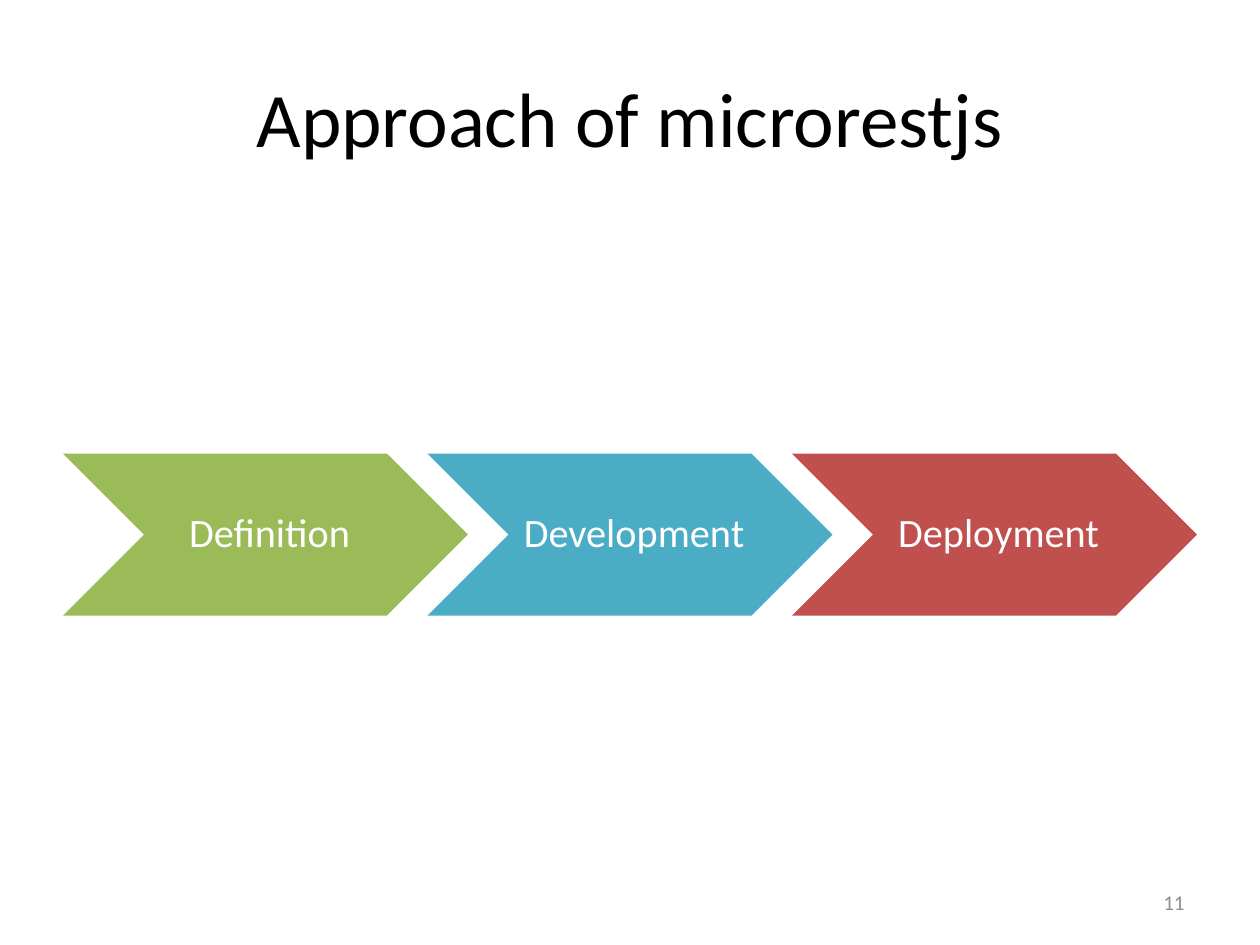
import pptx
import pptx.util
import pptx.dml.color
import pptx.enum.shapes
import pptx.enum.text
from dataclasses import dataclass

Inch = pptx.util.Inches
Align = pptx.enum.text.PP_ALIGN
Anchor = pptx.enum.text.MSO_ANCHOR
Shape = pptx.enum.shapes.MSO_SHAPE


@dataclass
class Theme:
    font: str = "Calibri"
    ink: str = "000000"
    pale: str = "FFFFFF"
    gray: str = "8C8C8C"
    green: str = "9BBB59"
    blue: str = "4BACC6"
    red: str = "C0504D"
    head: int = 44
    step: int = 23
    note: int = 12


def rgb(code):
    return pptx.dml.color.RGBColor.from_string(code)


class Deck:
    """Holds the style and the current slide; lengths are shares of the slide."""

    def __init__(self, theme):
        self.theme = theme
        self.show = pptx.Presentation()
        self.show.slide_width, self.show.slide_height = Inch(10), Inch(7.5)
        self.slide = self.show.slides.add_slide(self.show.slide_layouts[5])

    def box(self, x, y, w, h):
        wide, high = self.show.slide_width, self.show.slide_height
        return int(x * wide), int(y * high), int(w * wide), int(h * high)

    def label(self, shape, text, size, color, align, **extra):
        frame = shape.text_frame
        frame.text = text
        line = frame.paragraphs[0]
        looks = (
            (frame, {"word_wrap": True, "vertical_anchor": Anchor.MIDDLE}),
            (line, {"alignment": align, **extra}),
            (line.runs[0].font, {"name": self.theme.font, "size": pptx.util.Pt(size)}),
        )
        for part, values in looks:
            for name, value in values.items():
                setattr(part, name, value)
        line.runs[0].font.color.rgb = rgb(color)

    def title(self, text, *area):
        shape = self.slide.shapes.title
        shape.left, shape.top, shape.width, shape.height = self.box(*area)
        self.label(shape, text, self.theme.head, self.theme.ink, Align.CENTER)

    def step(self, text, color, *area):
        shape = self.slide.shapes.add_shape(Shape.CHEVRON, *self.box(*area))
        shape.shadow.inherit = False
        shape.fill.solid()
        shape.fill.fore_color.rgb = rgb(color)
        shape.line.fill.background()
        pads = {"left": 0.1, "right": 0.03, "top": 0.03, "bottom": 0.03}
        for side, pad in pads.items():
            setattr(shape.text_frame, "margin_" + side, Inch(pad))
        self.label(shape, text, self.theme.step, self.theme.pale, Align.CENTER,
                   line_spacing=0.9)

    def number(self, text, *area):
        shape = self.slide.shapes.add_textbox(*self.box(*area))
        self.label(shape, text, self.theme.note, self.theme.gray, Align.RIGHT)


def main():
    theme = Theme()
    deck = Deck(theme)

    # Title
    deck.title("Approach of microrestjs", 0.05, 0.04, 0.9, 1 / 6)

    # Process steps: each starts nine tenths of a width after the last
    steps = (("Definition", theme.green), ("Development", theme.blue),
             ("Deployment", theme.red))
    wide = 0.9 / (1 + 0.9 * (len(steps) - 1))
    high = wide * 0.4 * 10 / 7.5
    for i, (text, color) in enumerate(steps):
        deck.step(text, color, 0.05 + i * 0.9 * wide, 0.48, wide, high)

    # Slide number
    deck.number("11", 0.72, 0.93, 0.23, 0.05)

    deck.show.save("out.pptx")


if __name__ == "__main__":
    main()
